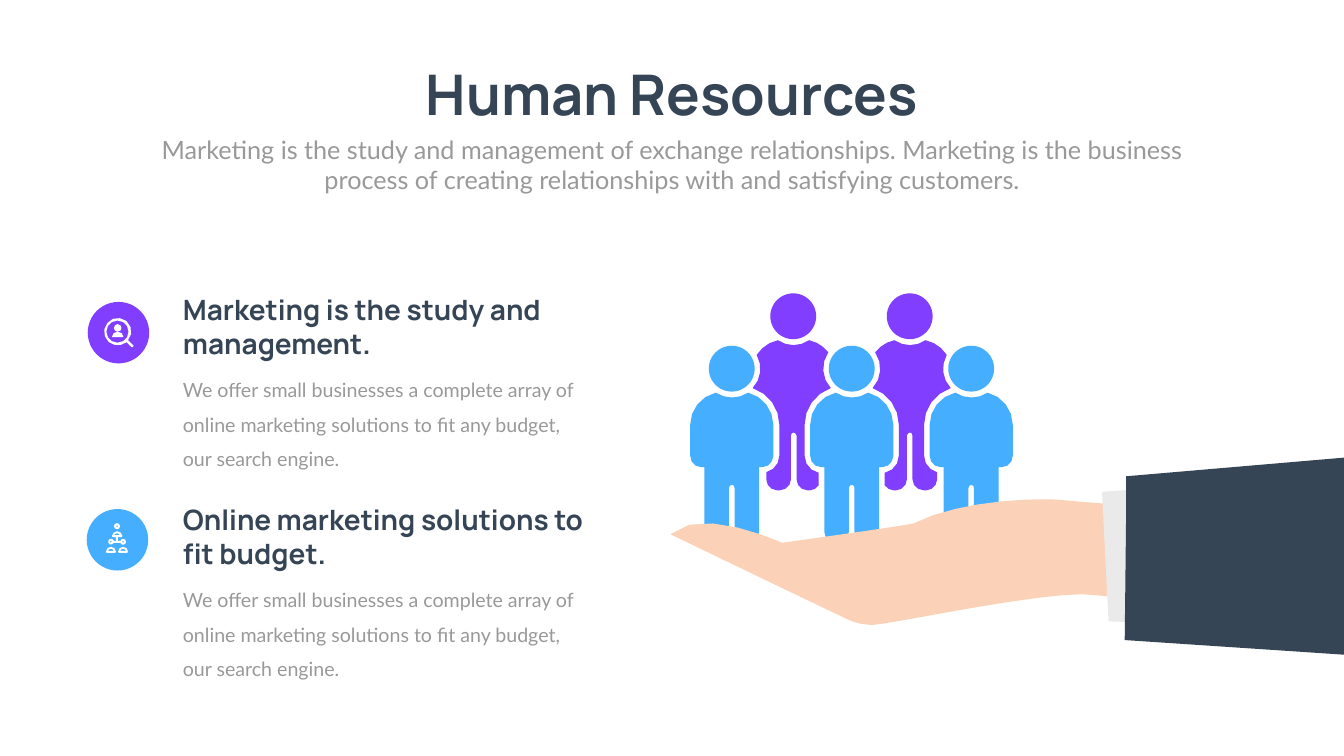
from math import ceil, dist, sqrt

from pptx import Presentation
from pptx.dml.color import RGBColor
from pptx.enum.shapes import MSO_SHAPE as Preset
from pptx.enum.text import MSO_ANCHOR as Anchor, MSO_AUTO_SIZE as AutoSize, PP_ALIGN as Align
from pptx.util import Pt

EMU_PER_PX = 9144  # 100 px to the inch
NAVY, GREY, WHITE = "364556", "999999", "FFFFFF"
PURPLE, BLUE, SKIN, CUFF = "823EFE", "45AEFF", "FBD1B7", "EAEAEA"

# Outlines: M moves, L draws a line, C draws a cubic curve, Z closes.
FRONT_BODY = """M 165 125 L 165 64 C 165 34 144 7 115 0 C 96 13 70 13 51 0
C 21 7 0 34 0 64 L 0 125 C 0 137 9 148 22 148 L 28 148 L 28 276
C 28 288 38 298 51 298 L 55 298 C 67 298 77 288 77 276 L 77 189
C 77 185 80 183 83 183 C 86 183 88 186 88 189 L 88 276
C 88 288 98 298 110 298 L 114 298 C 127 298 137 288 137 276 L 137 148
L 143 148 C 156 148 165 137 165 125 Z"""
BACK_BODY = """M 103 229 L 103 168 C 103 135 124 106 155 95 C 137 76 135 46 150 24
C 141 12 127 3 112 0 C 93 13 69 13 50 0 C 32 4 18 14 8 29
C 20 51 17 77 0 95 C 32 106 53 135 53 168 L 53 229 C 53 245 42 258 27 262
L 27 276 C 27 288 37 298 49 298 L 53 298 C 66 298 76 288 76 276 L 76 189
C 76 186 78 183 81 183 C 84 184 87 186 87 189 L 87 276
C 87 288 97 298 109 298 L 113 298 C 120 298 127 294 131 288 L 131 263
C 115 260 103 246 103 229 Z"""
HAND = """M 1551 1077 C 1551 1077 1390 1002 1330 1060
C 1330 1060 1632 1206 1665 1221 C 1683 1230 1701 1240 1730 1240
C 1760 1240 2040 1179 2147 1179 L 2464 1205 L 2435 1016
C 2435 1016 2157 998 2116 993 C 2075 987 1910 989 1811 1039
C 1761 1048 1551 1077 1551 1077 Z"""
SHIRT_CUFF = "M 2186 976 L 2199 1233 L 2632 1247 L 2625 943 Z"
SLEEVE = "M 2231 1270 L 2666 1299 L 2666 908 L 2234 945 L 2234 1002 L 2232 1185 Z"

# Icon outlines are measured from the corner of their disc.
SEARCH_ICON = [
    """M 67 52 C 67 56 64 59 59 59 C 55 59 52 56 52 52 C 52 48 55 44 59 44
    C 64 44 67 48 67 52 Z""",
    "M 59 59 C 53 59 48 64 48 70 L 71 70 C 71 64 66 59 59 59 Z",
    """M 91 87 L 80 76 C 90 65 88 48 77 38 C 65 29 48 30 39 42
    C 29 53 31 70 42 80 C 52 88 67 88 77 80 L 87 90 L 90 90 L 91 87 Z
    M 37 59 C 37 47 47 37 59 37 C 72 37 81 47 81 59 C 81 71 72 81 59 81
    C 47 81 37 71 37 59 Z""",
]
TEAM_MEMBER = """M {0} 75 C {1} 75 {2} 79 {2} 85 L {3} 87
L {4} 87 L {5} 85 C {5} 79 {6} 75 {0} 75 Z
M {7} 83 C {8} 80 {9} 78 {10} 79 C {11} 79 {12} 81 {12} 83 Z"""
MEMBER_X = [48, 43, 38, 40, 56, 58, 54, 42, 43, 47, 50, 52, 54]
TEAM_ICON = [TEAM_MEMBER.format(*(x + shift for x in MEMBER_X)) for shift in (0, 24)] + [
    """M 72 71 C 76 71 78 68 78 65 C 78 62 76 59 72 59 C 70 59 68 60 67 63
    L 62 63 L 62 56 L 69 56 L 71 54 C 71 49 66 44 60 44
    C 55 44 50 49 50 54 L 52 56 L 58 56 L 58 63 L 54 63
    C 53 60 49 58 46 59 C 43 60 42 64 43 67 C 44 70 47 71 50 70
    C 52 70 53 68 54 67 L 67 67 C 68 69 70 71 72 71 Z
    M 60 48 C 63 48 65 50 66 52 L 54 52 C 55 50 58 48 60 48 Z
    M 72 63 L 74 65 L 72 67 L 70 65 Z
    M 48 67 L 46 65 L 48 63 L 50 65 Z""",
    """M 60 40 C 64 40 66 38 66 34 C 66 31 64 28 60 28 C 57 28 54 31 54 34
    C 54 38 57 40 60 40 Z
    M 60 32 L 62 34 L 60 36 L 58 34 Z""",
]

OFFER = ("We offer small businesses a complete array of online marketing solutions "
         "to fit any budget, our search engine.")
TOPICS = [  # disc corner, colour, icon, heading top, heading
    (174, 599, PURPLE, SEARCH_ICON, 576, "Marketing is the study and management."),
    (172, 1010, BLUE, TEAM_ICON, 993, "Online marketing solutions to fit budget."),
]


def emu(px):
    return round(px * EMU_PER_PX)


def rgb(hex_colour):
    return RGBColor.from_string(hex_colour)


def trace(outline):
    """Turn an outline into closed lists of points; longer curves get more points."""
    contours = []
    tokens = iter(outline.split())
    for command in tokens:
        if command == "Z":
            continue
        count = 3 if command == "C" else 1
        points = [(int(next(tokens)), int(next(tokens))) for _ in range(count)]
        if command == "M":
            contours.append(points)
        elif command == "L":
            contours[-1] += points
        else:
            controls = [contours[-1][-1]] + points
            steps = ceil(sqrt(dist(controls[0], controls[3])) / 2.5)
            for step in range(1, steps + 1):
                t = step / steps
                weights = ((1 - t) ** 3, 3 * t * (1 - t) ** 2, 3 * t * t * (1 - t), t ** 3)
                contours[-1].append(tuple(
                    sum(weight * point[axis] for weight, point in zip(weights, controls))
                    for axis in (0, 1)))
    return contours


class SlideBuilder:
    def __init__(self, slide):
        self.slide = slide
        self.heading_font, self.body_font = "Manrope", "Lato"

    def group(self):
        return self.slide.shapes.add_group_shape().shapes

    def paint(self, shape, colour):
        shape.shadow.inherit = False
        shape.fill.solid()
        shape.fill.fore_color.rgb = rgb(colour)
        shape.line.fill.background()

    def disc(self, shapes, left, top, size, colour):
        self.paint(shapes.add_shape(Preset.OVAL, *map(emu, (left, top, size, size))), colour)

    def outline(self, shapes, outline, colour, left=0, top=0, direction=1):
        """Draw an outline from (left, top); direction -1 mirrors it."""
        contours = [[(emu(left + direction * x), emu(top + y)) for x, y in contour]
                    for contour in trace(outline)]
        builder = shapes.build_freeform(*contours[0][0], scale=1.0)
        for index, (start, *rest) in enumerate(contours):
            if index:
                builder.move_to(*start)
            builder.add_line_segments(rest, close=True)
        self.paint(builder.convert_to_shape(), colour)

    def format_text(self, shape, text, size, colour, font, bold, align, spacing):
        frame = shape.text_frame
        frame.word_wrap = True
        frame.vertical_anchor = Anchor.TOP
        frame.auto_size = AutoSize.SHAPE_TO_FIT_TEXT
        frame.text = text
        paragraph = frame.paragraphs[0]
        paragraph.alignment = align
        paragraph.line_spacing = spacing
        paragraph.font.name = font
        paragraph.font.size = Pt(size)
        paragraph.font.bold = bold
        paragraph.font.color.rgb = rgb(colour)

    def title(self, left, top, width, height, text):
        shape = self.slide.shapes.title
        shape.left, shape.top, shape.width, shape.height = map(emu, (left, top, width, height))
        self.format_text(shape, text, 80, NAVY, self.heading_font, True, Align.CENTER, 1.0)

    def heading(self, left, top, width, height, text):
        shape = self.slide.shapes.add_textbox(*map(emu, (left, top, width, height)))
        self.format_text(shape, text, 40, NAVY, self.heading_font, True, Align.LEFT, 1.0)

    def body(self, left, top, width, height, text, size=28, align=Align.LEFT, spacing=1.46):
        shape = self.slide.shapes.add_textbox(*map(emu, (left, top, width, height)))
        self.format_text(shape, text, size, GREY, self.body_font, False, align, spacing)


def main():
    presentation = Presentation()
    presentation.slide_width, presentation.slide_height = emu(2666), emu(1500)
    builder = SlideBuilder(presentation.slides.add_slide(presentation.slide_layouts[5]))

    builder.title(797, 114, 1072, 145, "Human Resources")
    builder.body(292, 261, 2082, 131,
                 "Marketing is the study and management of exchange relationships. "
                 "Marketing is the business process of creating relationships with "
                 "and satisfying customers.", size=36, align=Align.CENTER, spacing=1.0)

    people = builder.group()
    for body_left, head_left, direction in ((1493, 1528, 1), (1886, 1759, -1)):
        builder.outline(people, BACK_BODY, PURPLE, body_left, 675, direction)
        builder.disc(people, head_left, 582, 91, PURPLE)
    for left in (1369, 1607, 1844):
        builder.outline(people, FRONT_BODY, BLUE, left, 779)
        builder.disc(people, left + 37, 686, 91, BLUE)

    arm = builder.group()
    for outline, colour in ((HAND, SKIN), (SHIRT_CUFF, CUFF), (SLEEVE, NAVY)):
        builder.outline(arm, outline, colour)

    for left, top, colour, icon, heading_top, heading in TOPICS:
        builder.heading(353, heading_top, 816, 77, heading)
        builder.body(353, heading_top + 148, 816, 119, OFFER)
        badge = builder.group()
        builder.disc(badge, left, top, 122, colour)
        for outline in icon:
            builder.outline(badge, outline, WHITE, left, top)

    presentation.save("out.pptx")


if __name__ == "__main__":
    main()
